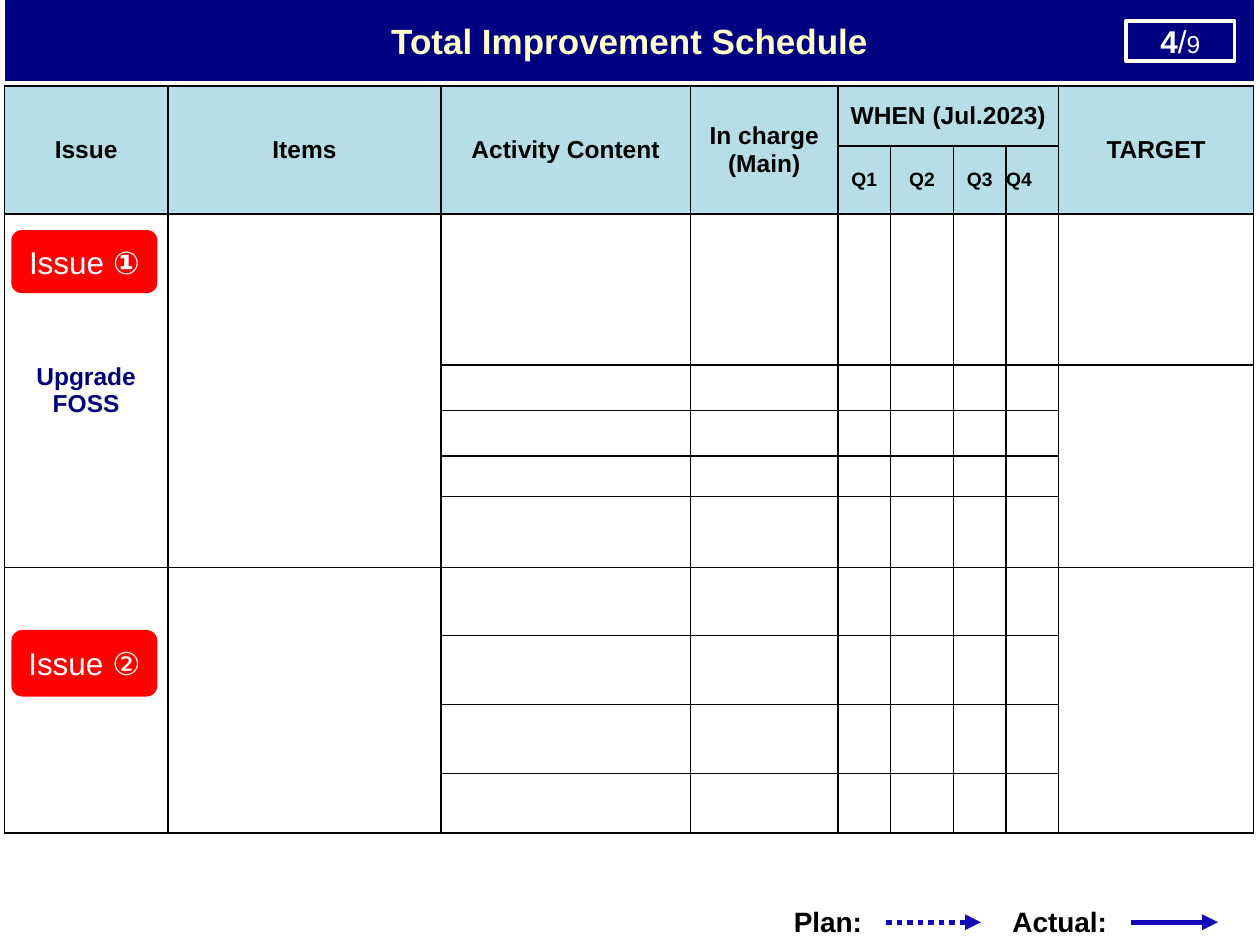
import pptx
import pptx.util
import pptx.dml.color
import pptx.enum.dml
import pptx.enum.shapes
import pptx.enum.text
import pptx.oxml
import pptx.oxml.ns
from dataclasses import dataclass
from lxml import etree

Pt = pptx.util.Pt
Align = pptx.enum.text.PP_ALIGN
Anchor = pptx.enum.text.MSO_ANCHOR
Shape = pptx.enum.shapes.MSO_SHAPE


@dataclass(frozen=True)
class Theme:
    font: str = "Arial"
    navy: str = "000080"
    cream: str = "FFFFCC"
    white: str = "FFFFFF"
    black: str = "000000"
    header: str = "B7DEE8"
    issue: str = "000077"
    badge: str = "FF0000"
    arrow: str = "1508B8"
    title_size: float = 20
    badge_size: float = 18
    total_size: float = 14
    legend_size: float = 16
    cell_size: float = 14
    quarter_size: float = 11


THEME = Theme()
COLUMNS = [93.5, 156, 142.5, 84.5, 30, 36, 30, 30, 111.5]
ROWS = [34.5, 29.5, 86.5, 26, 26, 23, 40.5, 39, 39.5, 39.5, 34]
HEADINGS = {0: "Issue", 1: "Items", 2: "Activity Content",
            3: "In charge (Main)", 4: "WHEN (Jul.2023)", 8: "TARGET"}
QUARTERS = {4: "Q1", 5: "Q2", 6: "Q3", 7: "Q4"}
MERGES = [(0, column, 1, column) for column in (0, 1, 2, 3, 8)] + [
    (0, 4, 0, 7), (2, 0, 6, 0), (2, 1, 6, 1), (3, 8, 6, 8),
    (7, 0, 10, 0), (7, 1, 10, 1), (7, 8, 10, 8)]


def rgb(value):
    return pptx.dml.color.RGBColor.from_string(value)


def style_span(span, size, color, bold=False):
    span.font.name = THEME.font
    span.font.size = Pt(size)
    span.font.bold = bold
    span.font.color.rgb = rgb(color)


def write(para, spans, color, align=Align.CENTER):
    para.alignment = align
    for text, size, bold in spans:
        span = para.add_run()
        span.text = text
        style_span(span, size, color, bold)


def set_margins(holder, across, down):
    holder.margin_left = holder.margin_right = Pt(across)
    holder.margin_top = holder.margin_bottom = Pt(down)


def add_banner(page, left, top, width, height):
    title = page.shapes.title
    title.left, title.top = Pt(left), Pt(top)
    title.width, title.height = Pt(width), Pt(height)
    title.fill.solid()
    title.fill.fore_color.rgb = rgb(THEME.navy)
    title.line.color.rgb = rgb(THEME.navy)
    title.line.width = Pt(0.75)
    frame = title.text_frame
    frame.auto_size = pptx.enum.text.MSO_AUTO_SIZE.NONE
    frame.vertical_anchor = Anchor.MIDDLE
    frame.text = "Total Improvement Schedule"
    frame.paragraphs[0].alignment = Align.CENTER
    style_span(frame.paragraphs[0].runs[0], THEME.title_size, THEME.cream, True)

    counter = page.shapes.add_shape(Shape.RECTANGLE, Pt(left + width - 73), Pt(top + 11.5), Pt(62), Pt(23))
    counter.shadow.inherit = False
    counter.fill.background()
    counter.line.color.rgb = rgb(THEME.white)
    counter.line.width = Pt(2)
    counter.text_frame.vertical_anchor = Anchor.MIDDLE
    write(counter.text_frame.paragraphs[0],
          [("4", THEME.badge_size, True), ("/", THEME.badge_size, False), ("9", THEME.total_size, False)],
          THEME.white)


def style_cell(cell, color):
    properties = cell._tc.get_or_add_tcPr()
    for side in ("lnL", "lnR", "lnT", "lnB"):
        properties.append(pptx.oxml.parse_xml(
            f'<a:{side} {pptx.oxml.ns.nsdecls("a")} w="{Pt(1)}"><a:solidFill>'
            f'<a:srgbClr val="{THEME.black}"/></a:solidFill></a:{side}>'))
    cell.fill.solid()
    cell.fill.fore_color.rgb = rgb(color)
    cell.vertical_anchor = Anchor.MIDDLE
    set_margins(cell, 0, 0)


def add_schedule(page, left, top):
    frame = page.shapes.add_table(len(ROWS), len(COLUMNS), Pt(left), Pt(top), Pt(sum(COLUMNS)), Pt(sum(ROWS)))
    table = frame.table
    table.first_row = table.horz_banding = False
    for column, width in zip(table.columns, COLUMNS):
        column.width = Pt(width)
    for index, (row, height) in enumerate(zip(table.rows, ROWS)):
        row.height = Pt(height)
        for cell in row.cells:
            style_cell(cell, THEME.header if index < 2 else THEME.white)
    for first_row, first_column, last_row, last_column in MERGES:
        table.cell(first_row, first_column).merge(table.cell(last_row, last_column))
    for column, text in HEADINGS.items():
        cell = table.cell(0, column)
        set_margins(cell, 7.2, 3.6)
        write(cell.text_frame.paragraphs[0], [(text, THEME.cell_size, True)], THEME.black)
    for column, text in QUARTERS.items():
        write(table.cell(1, column).text_frame.paragraphs[0], [(text, THEME.quarter_size, True)],
              THEME.black, Align.LEFT if text == "Q4" else Align.CENTER)
    write(table.cell(2, 0).text_frame.paragraphs[0], [("Upgrade FOSS", THEME.cell_size, True)], THEME.issue)


def add_badge(page, left, top, width, height, number, bold):
    badge = page.shapes.add_shape(Shape.ROUNDED_RECTANGLE, Pt(left), Pt(top), Pt(width), Pt(height))
    badge.shadow.inherit = False
    badge.fill.solid()
    badge.fill.fore_color.rgb = rgb(THEME.badge)
    badge.line.fill.background()
    frame = badge.text_frame
    set_margins(frame, 0, 0)
    frame.vertical_anchor = Anchor.MIDDLE
    write(frame.paragraphs[0],
          [("Issue ", THEME.badge_size, False), (number, THEME.badge_size, bold)], THEME.white)


def add_legend_entry(page, left, top, label_width, arrow_length, label, dash=None):
    box = page.shapes.add_textbox(Pt(left), Pt(top), Pt(label_width), Pt(26.5))
    box.text_frame.word_wrap = True
    write(box.text_frame.paragraphs[0], [(label, THEME.legend_size, True)], THEME.black, Align.LEFT)
    start, level = left + label_width, top + 13.5
    arrow = page.shapes.add_connector(pptx.enum.shapes.MSO_CONNECTOR.STRAIGHT,
                                      Pt(start), Pt(level), Pt(start + arrow_length), Pt(level))
    arrow.line.color.rgb = rgb(THEME.arrow)
    arrow.line.width = Pt(3)
    if dash:
        arrow.line.dash_style = dash
    etree.SubElement(arrow.line._get_or_add_ln(), pptx.oxml.ns.qn("a:tailEnd"), type="triangle")
    etree.SubElement(arrow._element.spPr, pptx.oxml.ns.qn("a:effectLst"))


def main():
    deck = pptx.Presentation()
    deck.slide_width, deck.slide_height = Pt(720), Pt(540)
    page = deck.slides.add_slide(deck.slide_layouts[5])
    add_banner(page, 3, 0.5, 713.5, 45.5)
    add_schedule(page, 2.5, 49)
    add_badge(page, 6.5, 131.5, 83.5, 36, "①", True)
    add_badge(page, 6.5, 360, 83.5, 38, "②", False)
    add_legend_entry(page, 446.5, 513.5, 60, 54, "Plan:", pptx.enum.dml.MSO_LINE.ROUND_DOT)
    add_legend_entry(page, 571.5, 513.5, 75, 49.5, "Actual:")
    deck.save("out.pptx")


if __name__ == "__main__":
    main()
